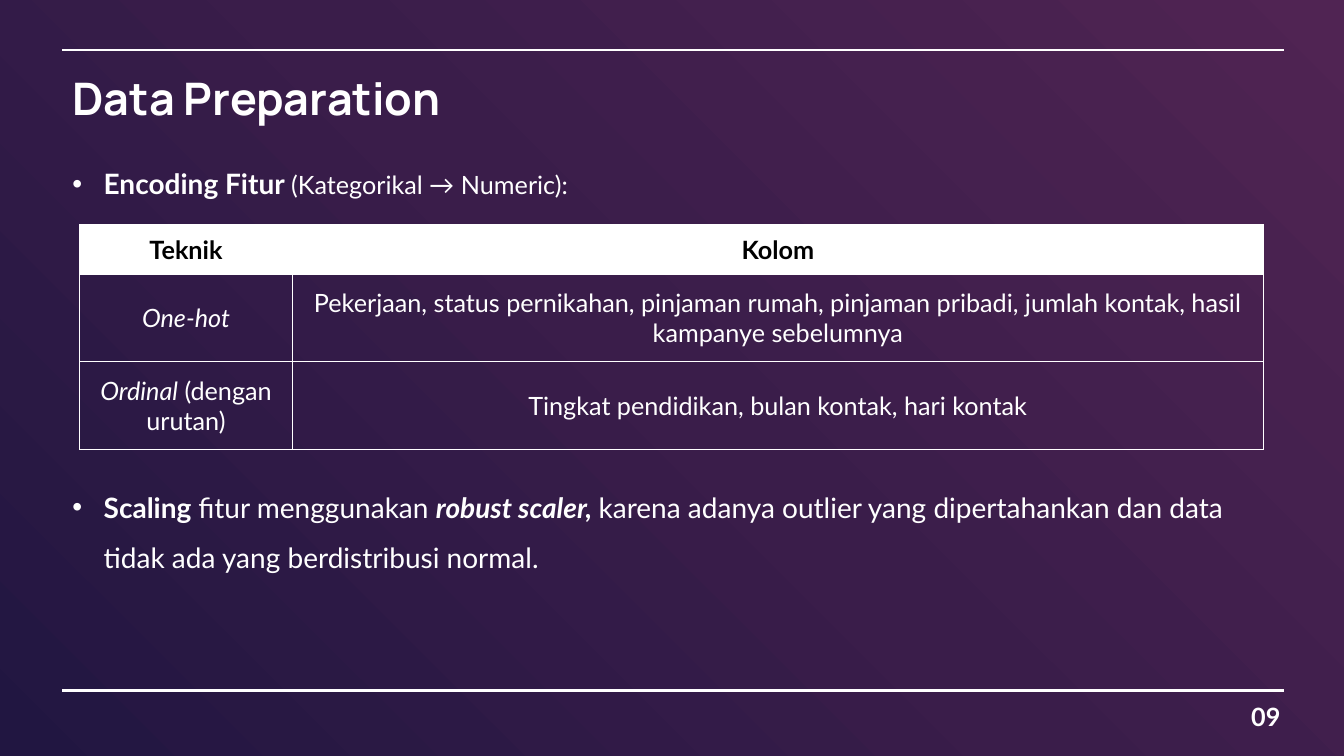
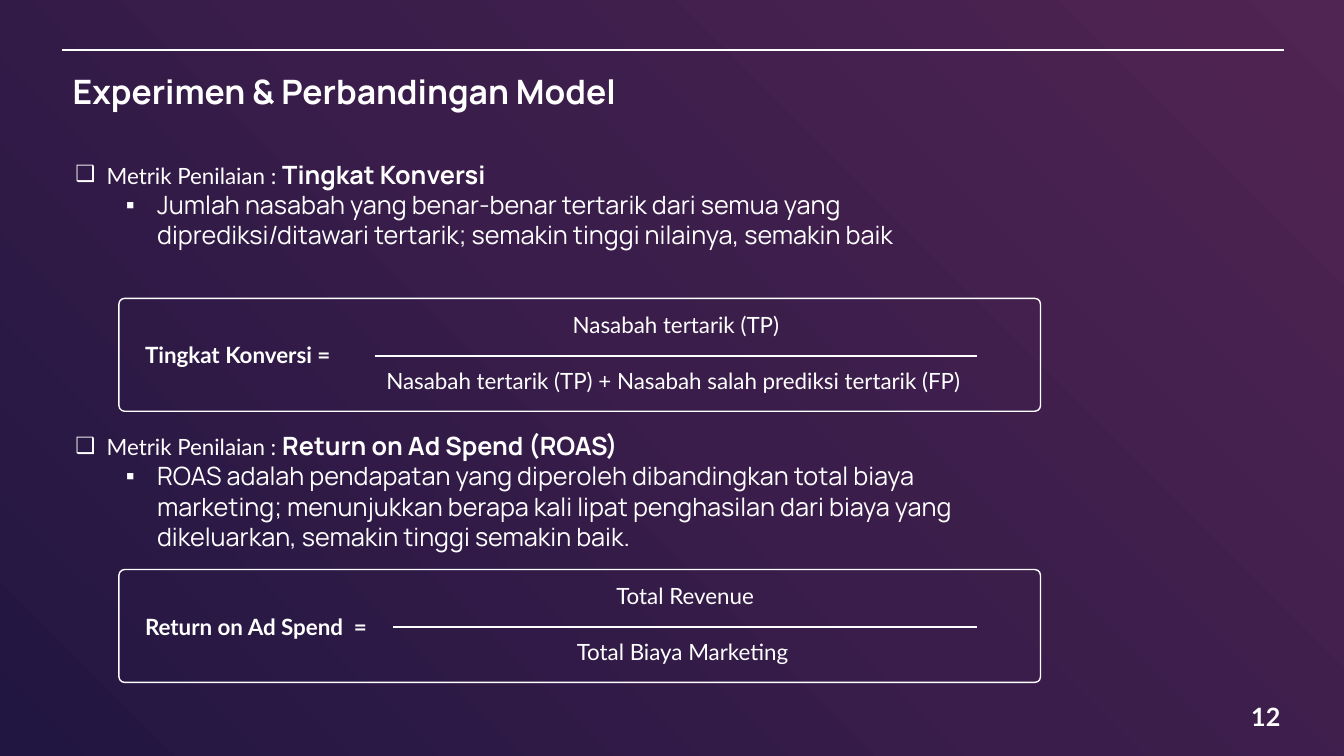
from dataclasses import dataclass
from typing import Optional

from lxml.etree import SubElement
from pptx import Presentation
from pptx.dml.color import RGBColor
from pptx.enum.shapes import MSO_CONNECTOR, MSO_SHAPE
from pptx.enum.text import MSO_ANCHOR, MSO_AUTO_SIZE, PP_ALIGN
from pptx.oxml import parse_xml
from pptx.oxml.ns import nsdecls, qn
from pptx.util import Pt

EMU_PER_PX = 9144  # 100 px to the inch
WHITE, BLACK = "FFFFFF", "000000"
GRADIENT = ((0, "502453"), (50, "3A1D4A"), (100, "211641"))
BODY_FONT, TITLE_FONT = "Lato", "Manrope"
LEFT, RIGHT = 62, 1273
BULLET_INDENT = 31


def px(length):
    return length * EMU_PER_PX


def px_all(*lengths):
    return [px(length) for length in lengths]


def rgb(hex_color):
    return RGBColor.from_string(hex_color)


@dataclass
class Run:
    """Text with only the settings that differ from its paragraph."""
    text: str
    size: Optional[int] = None
    name: Optional[str] = None
    bold: Optional[bool] = None
    italic: Optional[bool] = None


def style_font(font, size=None, name=None, bold=None, italic=None):
    if size:
        font.size = Pt(size)
    if name:
        font.name = name
    if bold is not None:
        font.bold = bold
    if italic is not None:
        font.italic = italic


class Deck:
    """Holds the shared style and the slide being built."""

    def __init__(self):
        self.presentation = Presentation()
        self.presentation.slide_width, self.presentation.slide_height = px_all(1333, 750)
        self.slide = None
        self.paint_background()

    def paint_background(self):
        """Give the master a gradient running from the top right corner."""
        master = self.presentation.slide_master
        master.background.fill.background()
        stops = "".join(
            f'<a:gs pos="{position * 1000}"><a:srgbClr val="{color}"/></a:gs>'
            for position, color in GRADIENT)
        gradient = parse_xml(
            f'<a:gradFill rotWithShape="1" {nsdecls("a")}><a:gsLst>{stops}</a:gsLst>'
            '<a:path path="circle"><a:fillToRect l="100000" b="100000"/></a:path></a:gradFill>')
        properties = master.element.find(".//" + qn("p:bgPr"))
        properties.replace(properties[0], gradient)

    def add_slide(self, title, title_size, title_box, number):
        layout = self.presentation.slide_layouts[5]
        self.slide = self.presentation.slides.add_slide(layout)
        placeholder = self.slide.shapes.title
        (placeholder.left, placeholder.top,
         placeholder.width, placeholder.height) = px_all(*title_box)
        frame = placeholder.text_frame
        frame.vertical_anchor = MSO_ANCHOR.TOP
        frame.auto_size = MSO_AUTO_SIZE.NONE
        self.set_text(frame.paragraphs[0], title, title_size, TITLE_FONT, bold=True)
        self.rule(LEFT, RIGHT, 50)
        self.label(1229, 691, 53, 40, number, 18, bold=True, align=PP_ALIGN.CENTER)

    def set_text(self, paragraph, content, size, name=BODY_FONT, color=WHITE,
                 align=PP_ALIGN.LEFT, **style):
        """Fill a paragraph from a string or a list of Run."""
        paragraph.alignment = align
        style_font(paragraph.font, size, name, **style)
        paragraph.font.color.rgb = rgb(color)
        runs = [Run(content)] if isinstance(content, str) else content
        for part in runs:
            run = paragraph.add_run()
            run.text = part.text
            style_font(run.font, part.size, part.name, part.bold, part.italic)

    def text_frame(self, left, top, width, height):
        box = self.slide.shapes.add_textbox(*px_all(left, top, width, height))
        box.text_frame.word_wrap = True
        return box.text_frame

    def label(self, left, top, width, height, content, size, **style):
        frame = self.text_frame(left, top, width, height)
        self.set_text(frame.paragraphs[0], content, size, **style)

    def bullet(self, paragraph, symbol, content, size, margin=BULLET_INDENT,
               spacing=None, **style):
        properties = paragraph._p.get_or_add_pPr()
        properties.set("marL", str(px(margin)))
        properties.set("indent", str(-px(BULLET_INDENT)))
        color = SubElement(properties, qn("a:buClr"))
        SubElement(color, qn("a:srgbClr"), val=WHITE)
        SubElement(properties, qn("a:buFont"), typeface="Arial")
        SubElement(properties, qn("a:buChar"), char=symbol)
        if spacing:
            paragraph.line_spacing = spacing
        self.set_text(paragraph, content, size, **style)

    def point(self, left, top, width, height, content):
        frame = self.text_frame(left, top, width, height)
        self.bullet(frame.paragraphs[0], "•", content, 20, spacing=1.5)

    def rule(self, start, end, y):
        line = self.slide.shapes.add_connector(
            MSO_CONNECTOR.STRAIGHT, *px_all(start, y, end, y))
        line.line.color.rgb = rgb(WHITE)
        line.line.width = Pt(1.5)
        SubElement(line._element.spPr, qn("a:effectLst"))

    def table(self, left, top, widths, heights, rows):
        """Draw a bordered table whose first row is a white header."""
        table = self.slide.shapes.add_table(
            len(heights), len(widths),
            *px_all(left, top, sum(widths), sum(heights))).table
        table.first_row = table.horz_banding = False
        for column, width in zip(table.columns, widths):
            column.width = px(width)
        for row_index, (row, height) in enumerate(zip(table.rows, heights)):
            row.height = px(height)
            header = row_index == 0
            for cell, content in zip(row.cells, rows[row_index]):
                cell.vertical_anchor = MSO_ANCHOR.MIDDLE
                if header:
                    cell.fill.solid()
                    cell.fill.fore_color.rgb = rgb(WHITE)
                else:
                    cell.fill.background()
                self.border(cell)
                self.set_text(cell.text_frame.paragraphs[0], content, 18, bold=header,
                              color=BLACK if header else WHITE, align=PP_ALIGN.CENTER)

    def border(self, cell):
        properties = cell._tc.get_or_add_tcPr()
        for index, side in enumerate("LRTB"):
            properties.insert(index, parse_xml(
                f'<a:ln{side} w="{Pt(1)}" {nsdecls("a")}><a:solidFill>'
                f'<a:srgbClr val="{WHITE}"/></a:solidFill></a:ln{side}>'))

    def metric(self, top, width, name, explanation):
        frame = self.text_frame(65, top, width, 131)
        heading = [Run("Metrik Penilaian : "), Run(name, 18, TITLE_FONT, True)]
        self.bullet(frame.paragraphs[0], "❑", heading, 16)
        detail = frame.add_paragraph()
        detail.level = 1
        self.bullet(detail, "▪", explanation, 18, margin=81, name=TITLE_FONT)

    def formula(self, top, name, bar_left, numerator, denominator):
        """Draw a rounded frame holding a name and a fraction."""
        frame = self.slide.shapes.add_shape(
            MSO_SHAPE.ROUNDED_RECTANGLE, *px_all(118, top, 914, 112))
        frame.adjustments[0] = 0.05
        frame.shadow.inherit = False
        frame.fill.background()
        frame.line.color.rgb = rgb(WHITE)
        frame.line.width = Pt(1)
        bar_right = 969
        self.label(134, top + 38, bar_left - 134, 37, name, 16, bold=True)
        self.label(bar_left, top + 8, bar_right - bar_left, 37, numerator, 16,
                   align=PP_ALIGN.CENTER)
        self.rule(bar_left, bar_right, top + 57)
        self.label(bar_left - 5, top + 63, bar_right - bar_left + 5, 37, denominator, 16,
                   align=PP_ALIGN.CENTER)


def build_preparation(deck):
    deck.add_slide("Data Preparation", 32, (LEFT, 65, 673, 64), "09")
    deck.rule(LEFT, RIGHT, 685)
    deck.point(LEFT, 144, 857, 55, [
        Run("Encoding Fitur ", bold=True),
        Run("(Kategorikal → Numeric):", 18)])
    deck.table(79, 223, (211, 963), (49, 87, 87), [
        ("Teknik", "Kolom"),
        ([Run("One-hot", italic=True)],
         "Pekerjaan, status pernikahan, pinjaman rumah, pinjaman pribadi, "
         "jumlah kontak, hasil kampanye sebelumnya"),
        ([Run("Ordinal", italic=True), Run(" (dengan urutan)")],
         "Tingkat pendidikan, bulan kontak, hari kontak")])
    deck.point(LEFT, 465, 1192, 106, [
        Run("Scaling ", bold=True),
        Run("fitur menggunakan "),
        Run("robust scaler, ", bold=True, italic=True),
        Run("karena adanya outlier yang dipertahankan dan data "
            "tidak ada yang berdistribusi normal.")])


def build_comparison(deck):
    deck.add_slide("Experimen & Perbandingan Model", 24, (LEFT, 65, 857, 50), "12")
    deck.metric(153, 868, "Tingkat Konversi",
                "Jumlah nasabah yang benar-benar tertarik dari semua yang "
                "diprediksi/ditawari tertarik; semakin tinggi nilainya, semakin baik")
    deck.formula(296, "Tingkat Konversi =", 372, "Nasabah tertarik (TP)",
                 "Nasabah tertarik (TP) + Nasabah salah prediksi tertarik (FP)")
    deck.metric(422, 967, "Return on Ad Spend (ROAS)",
                "ROAS adalah pendapatan yang diperoleh dibandingkan total biaya "
                "marketing; menunjukkan berapa kali lipat penghasilan dari biaya yang "
                "dikeluarkan, semakin tinggi semakin baik.")
    deck.formula(565, "Return on Ad Spend  =", 390, "Total Revenue",
                 "Total Biaya Marketing")


def main():
    deck = Deck()
    build_preparation(deck)
    build_comparison(deck)
    deck.presentation.save("out.pptx")


if __name__ == "__main__":
    main()
